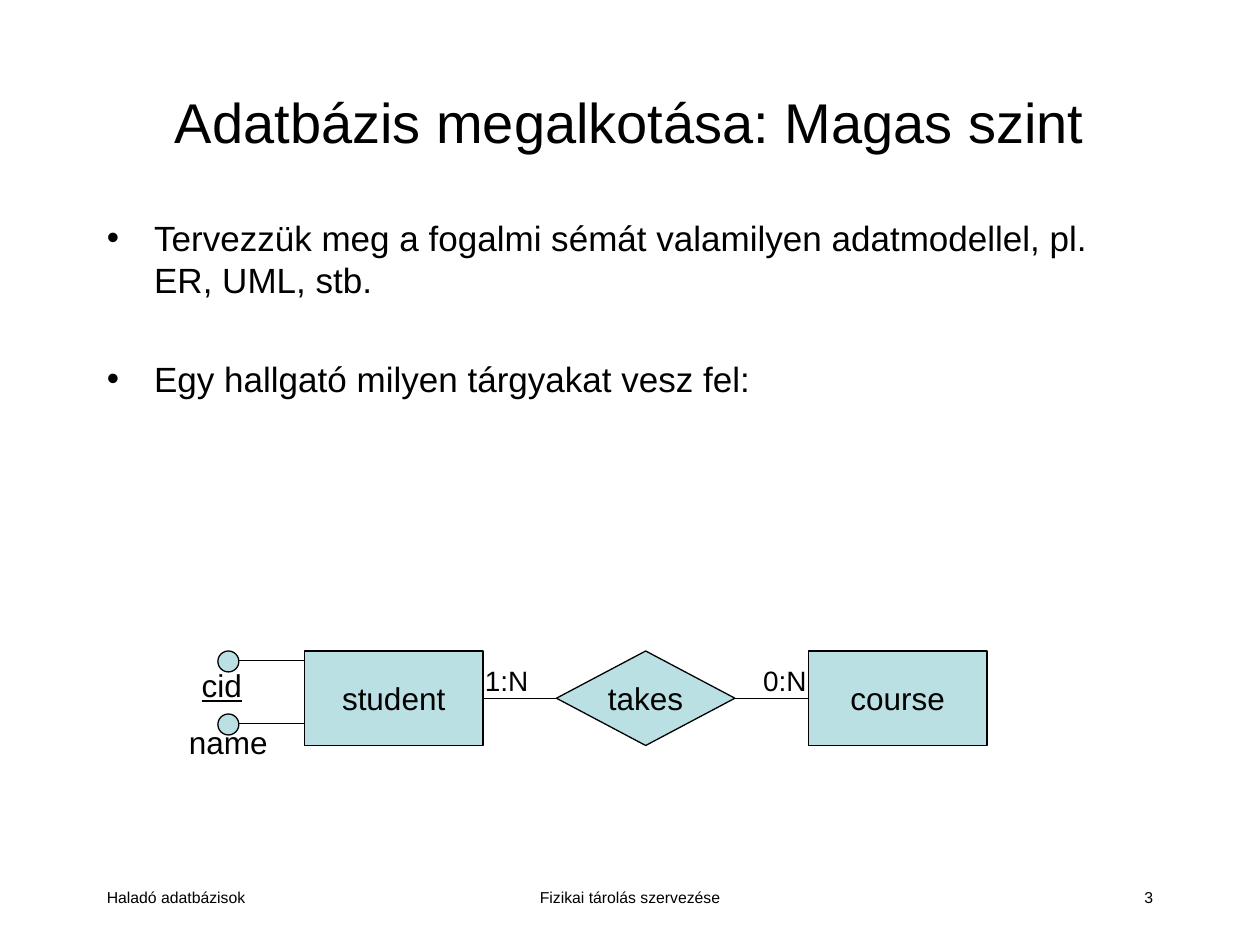
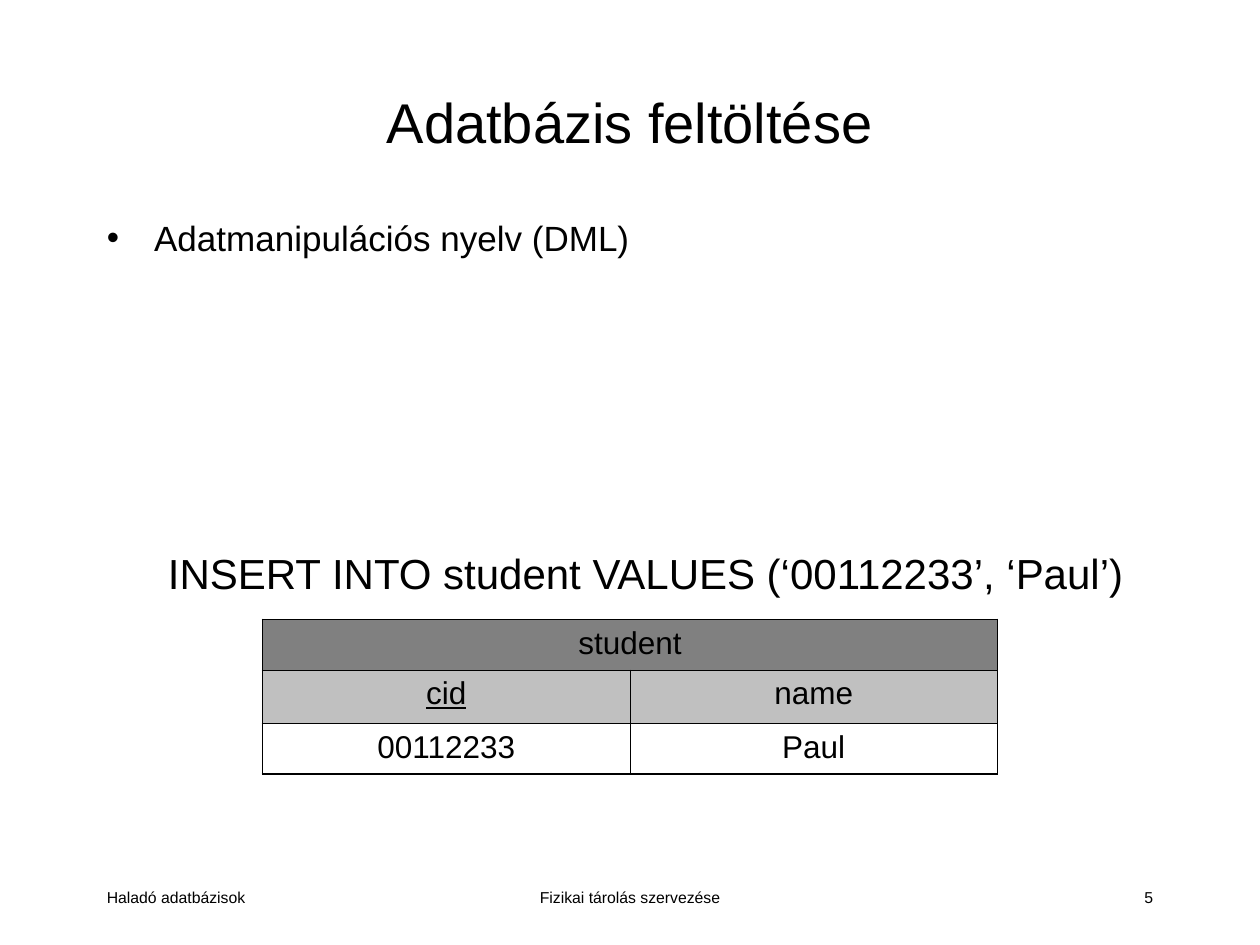
from dataclasses import dataclass
from typing import Optional

from lxml.etree import SubElement
from pptx import Presentation
from pptx.dml.color import RGBColor as Rgb
from pptx.enum.shapes import MSO_CONNECTOR as Line, MSO_SHAPE as Kind
from pptx.enum.text import MSO_ANCHOR as Anchor, PP_ALIGN as Align
from pptx.oxml.ns import qn
from pptx.util import Pt

PX = 9525
FONT = "Arial"
HUES = {"ink": "000000", "node": "BBE0E3", "head": "808080", "label": "C0C0C0"}
EDGE, INNER = 1.08, 0.45


@dataclass(frozen=True)
class Box:
    left: int
    top: int
    width: int
    height: int

    def emu(self) -> tuple:
        return tuple(v * PX for v in (self.left, self.top, self.width, self.height))


@dataclass(frozen=True)
class Style:
    size: int
    align: Align = Align.CENTER
    anchor: Anchor = Anchor.TOP
    wrap: bool = False
    under: bool = False


@dataclass(frozen=True)
class Node:
    text: str
    left: int
    kind: Kind


@dataclass(frozen=True)
class Trait:
    text: str
    top: int
    under: bool = False
    pads: Optional[tuple] = None


@dataclass(frozen=True)
class Note:
    text: str
    box: Box
    style: Style


@dataclass(frozen=True)
class Point:
    text: str
    before: int = 5


TITLE = Box(72, 32, 816, 120)
BODY = Box(72, 160, 816, 496)
FOOTS = [
    Note("Haladó adatbázisok", Box(72, 672, 200, 32), Style(9, Align.LEFT, wrap=True)),
    Note("Fizikai tárolás szervezése", Box(328, 672, 304, 32), Style(9, wrap=True)),
]
PAGE = Box(688, 672, 200, 32)

NODES = [
    Node("student", 232, Kind.FLOWCHART_PROCESS),
    Node("takes", 424, Kind.FLOWCHART_DECISION),
    Node("course", 616, Kind.FLOWCHART_PROCESS),
]
NODE_TOP, NODE_W, NODE_H = 496, 136, 72
TRAITS = [
    Trait("name", 544),
    Trait("cid", 496, under=True, pads=(0, 9, 10, 0)),
]
COUNTS = [
    Note("1:N", Box(360, 501, 52, 36), Style(16, Align.LEFT)),
    Note("0:N", Box(572, 501, 52, 36), Style(16, Align.LEFT)),
]

QUERY = Note(
    "INSERT INTO student VALUES (‘00112233’, ‘Paul’)",
    Box(96, 408, 792, 56),
    Style(24, anchor=Anchor.MIDDLE),
)
GRID = Box(200, 472, 560, 117)
ROWS = [
    (38, "head", ["student", ""]),
    (41, "label", ["cid", "name"]),
    (38, None, ["00112233", "Paul"]),
]


def shade(name: str) -> Rgb:
    return Rgb.from_string(HUES[name])


def style_para(para, style: Style) -> None:
    para.alignment = style.align
    for run in para.runs:
        font = run.font
        font.name, font.size = FONT, Pt(style.size)
        font.color.rgb = shade("ink")
        if style.under:
            font.underline = True


def write(frame, text: str, style: Style) -> None:
    frame.text = text
    frame.word_wrap = style.wrap
    frame.vertical_anchor = style.anchor
    style_para(frame.paragraphs[0], style)


def add_note(shapes, note: Note) -> None:
    write(shapes.add_textbox(*note.box.emu()).text_frame, note.text, note.style)


def add_shape(shapes, kind: Kind, box: Box, text: str, style: Style):
    shape = shapes.add_shape(kind, *box.emu())
    shape.shadow.inherit = False
    shape.fill.solid()
    shape.fill.fore_color.rgb = shade("node")
    shape.line.color.rgb = shade("ink")
    shape.line.width = Pt(0.75)
    write(shape.text_frame, text, style)
    return shape


def add_line(shapes, *ends: int):
    line = shapes.add_connector(Line.STRAIGHT, *(v * PX for v in ends))
    line.line.color.rgb = shade("ink")
    line.line.width = Pt(0.75)
    SubElement(line._element.spPr, qn("a:effectLst"))
    return line


def add_points(slide, points: list[Point]) -> None:
    frame = slide.shapes.add_textbox(*BODY.emu()).text_frame
    frame.word_wrap = True
    for i, point in enumerate(points):
        para = frame.add_paragraph() if i else frame.paragraphs[0]
        para.text = point.text
        para.space_before = Pt(point.before)
        style_para(para, Style(20, Align.LEFT))
        props = para._p.get_or_add_pPr()
        props.set("marL", str(36 * PX))
        props.set("indent", str(-36 * PX))
        SubElement(props, qn("a:buFont"), typeface=FONT)
        SubElement(props, qn("a:buChar"), char="•")


def add_slide(deck, title: str, page: int, points: list[Point]):
    slide = deck.slides.add_slide(deck.slide_layouts[5])
    head = slide.shapes.title
    head.left, head.top, head.width, head.height = TITLE.emu()
    write(head.text_frame, title, Style(32, anchor=Anchor.MIDDLE, wrap=True))
    number = Note(str(page), PAGE, Style(9, Align.RIGHT, wrap=True))
    for foot in [*FOOTS, number]:
        add_note(slide.shapes, foot)
    add_points(slide, points)
    return slide


def add_model(slide) -> None:
    shapes = slide.shapes.add_group_shape().shapes
    style = Style(18, anchor=Anchor.MIDDLE)
    drawn = [
        add_shape(shapes, n.kind, Box(n.left, NODE_TOP, NODE_W, NODE_H), n.text, style)
        for n in NODES
    ]
    mid = NODE_TOP + NODE_H // 2
    for i in range(len(NODES) - 1):
        link = add_line(shapes, NODES[i].left + NODE_W, mid, NODES[i + 1].left, mid)
        link.begin_connect(drawn[i], 3)
        link.end_connect(drawn[i + 1], 1)
    for trait in TRAITS:
        add_line(shapes, 176, trait.top + 7, NODES[0].left, trait.top + 7)
        dot = add_shape(shapes, Kind.FLOWCHART_CONNECTOR, Box(166, trait.top, 16, 16),
                        trait.text, Style(18, under=trait.under))
        if trait.pads:
            frame = dot.text_frame
            (frame.margin_left, frame.margin_top,
             frame.margin_right, frame.margin_bottom) = (v * PX for v in trait.pads)
    for count in COUNTS:
        add_note(shapes, count)


def add_edges(cell, widths: dict[str, float]) -> None:
    props = cell._tc.get_or_add_tcPr()
    for i, (side, width) in enumerate(widths.items()):
        edge = props.makeelement(qn(f"a:ln{side}"), {"w": str(Pt(width))})
        fill = SubElement(edge, qn("a:solidFill"))
        SubElement(fill, qn("a:srgbClr"), val=HUES["ink"])
        props.insert(i, edge)


def add_grid(slide) -> None:
    cols = len(ROWS[0][2])
    table = slide.shapes.add_table(len(ROWS), cols, *GRID.emu()).table
    table.first_row = table.horz_banding = False
    for r, (height, hue, texts) in enumerate(ROWS):
        table.rows[r].height = height * PX
        for c, text in enumerate(texts):
            cell = table.cell(r, c)
            write(cell.text_frame, text, Style(18, wrap=True, under=text == "cid"))
            if hue:
                cell.fill.solid()
                cell.fill.fore_color.rgb = shade(hue)
            else:
                cell.fill.background()
            outer = {"L": c == 0, "R": c == cols - 1, "T": r == 0, "B": r == len(ROWS) - 1}
            add_edges(cell, {s: EDGE if out else INNER for s, out in outer.items()})
    table.cell(0, 0).merge(table.cell(0, cols - 1))


def main() -> None:
    deck = Presentation()
    deck.slide_width, deck.slide_height = 960 * PX, 720 * PX
    model = add_slide(deck, "Adatbázis megalkotása: Magas szint", 3, [
        Point("Tervezzük meg a fogalmi sémát valamilyen adatmodellel, pl. ER, UML, stb."),
        Point("Egy hallgató milyen tárgyakat vesz fel:", 33),
    ])
    add_model(model)
    load = add_slide(deck, "Adatbázis feltöltése", 5, [Point("Adatmanipulációs nyelv (DML)")])
    add_grid(load)
    add_note(load.shapes, QUERY)
    deck.save("out.pptx")


if __name__ == "__main__":
    main()
